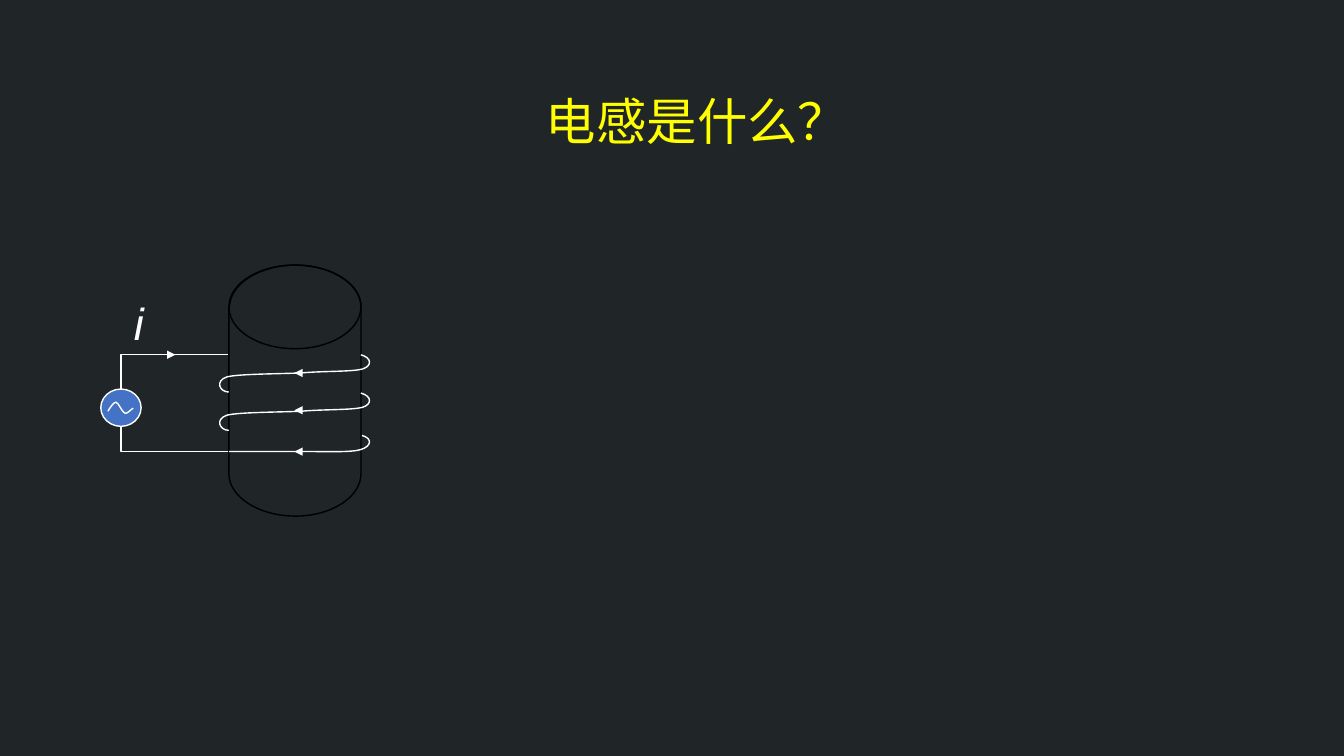
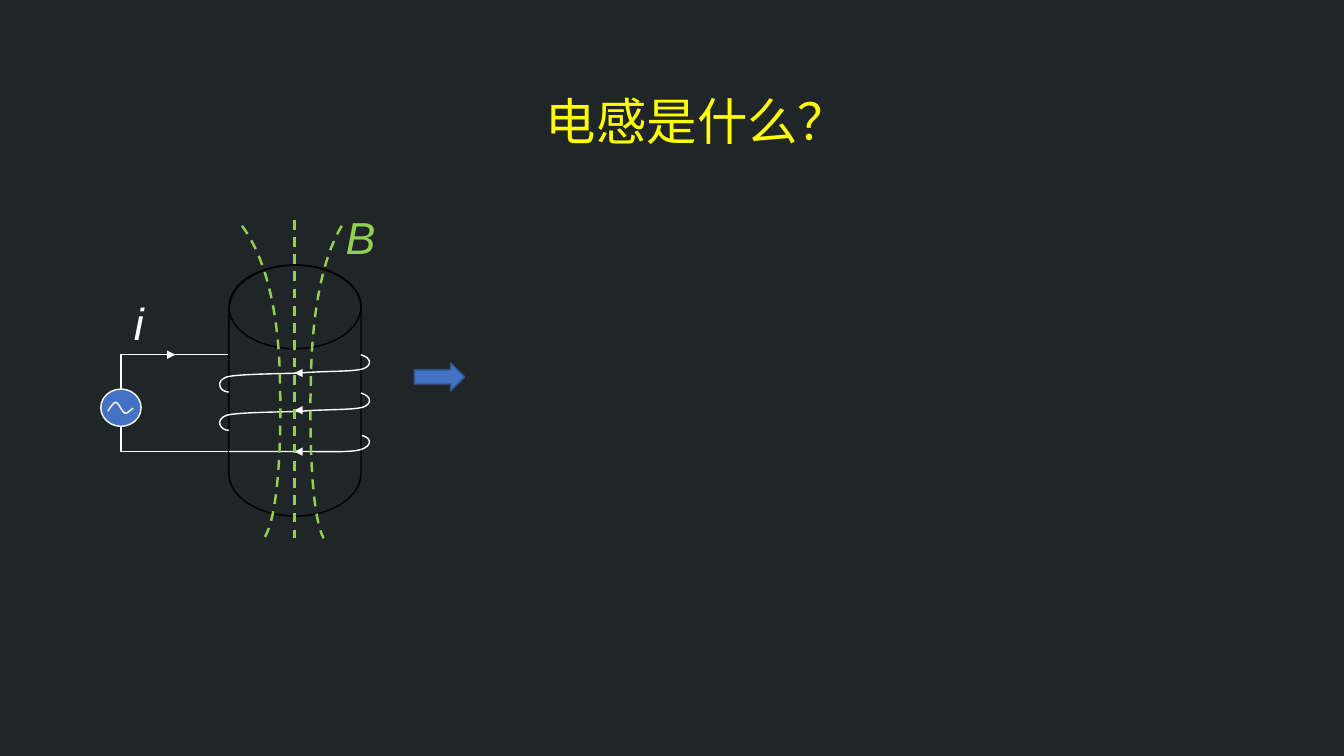
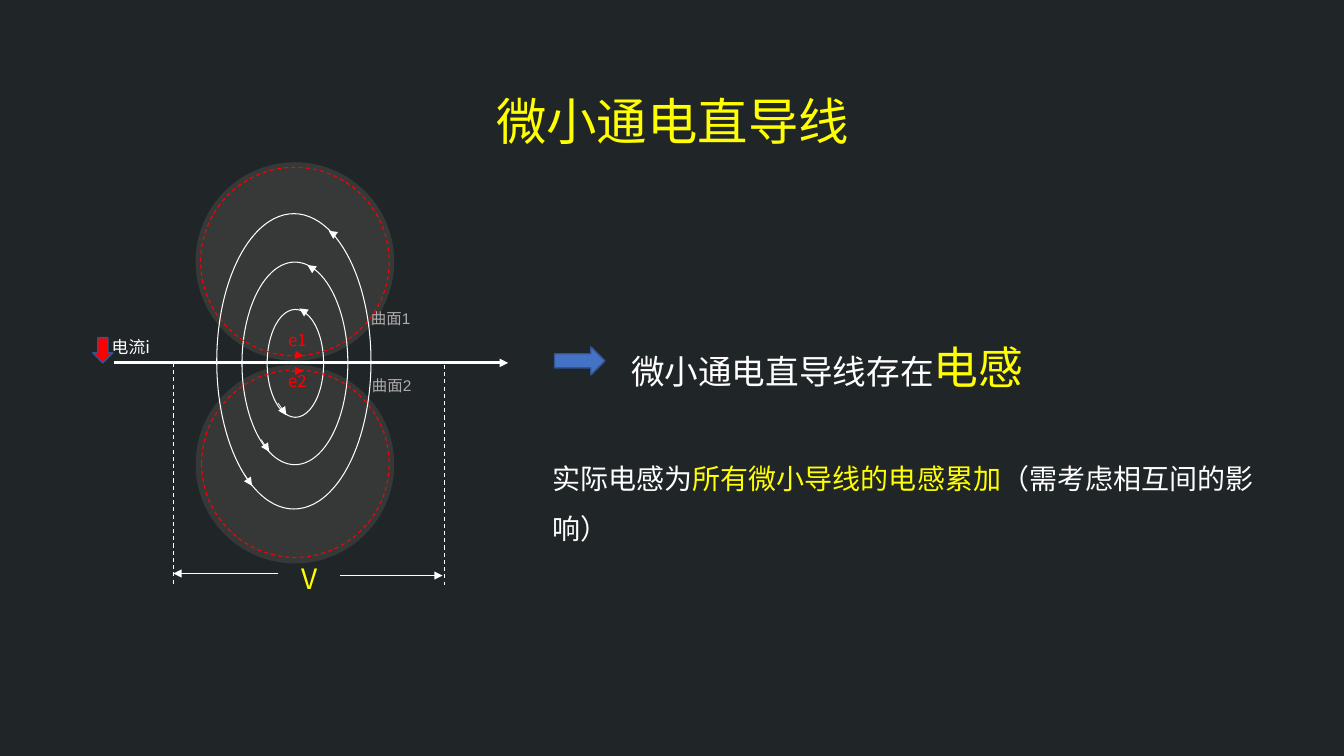
from dataclasses import dataclass
from typing import Any

from lxml.etree import SubElement
from pptx import Presentation
from pptx.dml.color import RGBColor
from pptx.enum.dml import MSO_LINE
from pptx.enum.shapes import MSO_CONNECTOR, MSO_SHAPE
from pptx.enum.text import MSO_AUTO_SIZE, PP_ALIGN
from pptx.oxml.ns import qn
from pptx.util import Pt

PX = 9144
PAGE_WIDTH, PAGE_HEIGHT = 1333, 750
BACKGROUND = "202527"
WHITE, BLACK, YELLOW = "FFFFFF", "000000", "FFFF00"
RED, GREEN, GREY = "FF0000", "92D050", "AFABAB"
BLUE, DARK_BLUE = "4472C4", "325491"
LATIN, CHINESE = "Arial", "Noto Sans CJK SC"
CURVE_STEPS = 16


def colour(value):
    """Turn a hex string into a colour."""
    return RGBColor.from_string(value)


def style_line(line, value, width, dashed=False):
    """Set colour, width and dash of an outline."""
    line.color.rgb = colour(value)
    line.width = Pt(width)
    if dashed:
        line.dash_style = MSO_LINE.DASH


def curve_points(start, segments):
    """Yield points along straight (x, y) and cubic six-number segments."""
    x, y = start
    for segment in segments:
        if len(segment) == 2:
            yield segment
        else:
            x1, y1, x2, y2, x3, y3 = segment
            for step in range(1, CURVE_STEPS + 1):
                t = step / CURVE_STEPS
                u = 1 - t
                a, b, c, d = u**3, 3 * u * u * t, 3 * u * t * t, t**3
                yield (a * x + b * x1 + c * x2 + d * x3,
                       a * y + b * y1 + c * y2 + d * y3)
        x, y = segment[-2:]


@dataclass
class Region:
    """An area whose parts are placed from its left top corner."""

    shapes: Any
    left: int = 0
    top: int = 0

    def place(self, x, y):
        """Turn a point of the region into EMU on the page."""
        return round((self.left + x) * PX), round((self.top + y) * PX)

    def shape(self, kind, box, line=None, width=1, fill=None, alpha=None, dashed=False):
        """Add a preset shape."""
        x, y, wide, high = box
        shape = self.shapes.add_shape(kind, *self.place(x, y), wide * PX, high * PX)
        shape.shadow.inherit = False
        if fill:
            shape.fill.solid()
            shape.fill.fore_color.rgb = colour(fill)
            if alpha:
                tone = shape.fill._xPr.find(".//" + qn("a:srgbClr"))
                SubElement(tone, qn("a:alpha"), val=str(alpha * 1000))
        else:
            shape.fill.background()
        if line:
            style_line(shape.line, line, width, dashed)
        else:
            shape.line.fill.background()

    def oval(self, box, **style):
        """Add an ellipse."""
        self.shape(MSO_SHAPE.OVAL, box, **style)

    def block_arrow(self, box, kind=MSO_SHAPE.RIGHT_ARROW, fill=BLUE):
        """Add a thick arrow with a dark blue rim."""
        self.shape(kind, box, line=DARK_BLUE, fill=fill)

    def line(self, start, end, value=WHITE, width=0.5, dashed=False, arrow=False):
        """Add a straight line, with an arrowhead if asked."""
        line = self.shapes.add_connector(
            MSO_CONNECTOR.STRAIGHT, *self.place(*start), *self.place(*end))
        style_line(line.line, value, width, dashed)
        if arrow:
            SubElement(line.line._ln, qn("a:tailEnd"), type="triangle")
        SubElement(line._element.spPr, qn("a:effectLst"))

    def arrow(self, start, end, **style):
        """Add a straight line with an arrowhead."""
        self.line(start, end, arrow=True, **style)

    def curve(self, start, segments, value=WHITE, width=1, dashed=False, close=False):
        """Add an unfilled outline of true curves, sized by points along it."""
        builder = self.shapes.build_freeform(*self.place(*start))
        points = [self.place(*point) for point in curve_points(start, segments)]
        builder.add_line_segments(points, close=close)
        outline = builder.convert_to_shape()
        track = outline._element.find(".//" + qn("a:path"))
        for step in track.findall(qn("a:lnTo")):
            track.remove(step)
        end = track.find(qn("a:close"))
        for segment in segments:
            kind = "a:lnTo" if len(segment) == 2 else "a:cubicBezTo"
            step = SubElement(track, qn(kind))
            for point in zip(segment[::2], segment[1::2]):
                x, y = self.place(*point)
                SubElement(step, qn("a:pt"), x=str(x - outline.left),
                           y=str(y - outline.top))
        if close:
            track.append(end)
        outline.shadow.inherit = False
        outline.fill.background()
        style_line(outline.line, value, width, dashed)

    def label(self, box, *spans, name=CHINESE, italic=False, align=None,
              spacing=None, wrap=True):
        """Add one paragraph made of (text, size, colour) spans."""
        x, y, wide, high = box
        frame = self.shapes.add_textbox(
            *self.place(x, y), wide * PX, high * PX).text_frame
        frame.word_wrap = wrap
        frame.auto_size = MSO_AUTO_SIZE.SHAPE_TO_FIT_TEXT
        para = frame.paragraphs[0]
        para.alignment = align
        para.line_spacing = spacing
        para.font.name = name
        SubElement(para._p.pPr.find(qn("a:defRPr")), qn("a:ea"), typeface=CHINESE)
        if italic:
            para.font.italic = True
        same_size = len({size for _, size, _ in spans}) == 1
        same_colour = len({value for _, _, value in spans}) == 1
        for text, size, value in spans:
            span = para.add_run()
            span.text = text
            (para if same_size else span).font.size = Pt(size)
            (para if same_colour else span).font.color.rgb = colour(value)


def add_page(deck, title, title_width):
    """Add a dark page with a centred yellow title."""
    page = deck.slides.add_slide(deck.slide_layouts[6])
    page.background.fill.solid()
    page.background.fill.fore_color.rgb = colour(BACKGROUND)
    left = (PAGE_WIDTH + 1 - title_width) // 2
    Region(page.shapes).label((left, 54, title_width, 91), (title, 36, YELLOW),
                              align=PP_ALIGN.CENTER, spacing=1.5)
    return page


def draw_coil(region):
    """Draw a core with its windings and a current source."""
    region.shape(MSO_SHAPE.RECTANGLE, (20, 152, 107, 96), line=WHITE)
    region.oval((127, 63, 131, 83), line=BLACK)
    region.oval((0, 186, 40, 37), line=WHITE, fill=BLUE)
    region.curve((7, 208), [(10, 203, 13, 199, 15, 199), (18, 200, 21, 209, 24, 210),
                            (26, 211, 30, 206, 32, 205)])
    region.curve((193, 63), [(227, 63, 255, 80, 258, 101), (258, 105), (258, 270),
                             (258, 293, 229, 312, 193, 312),
                             (157, 312, 127, 293, 127, 270), (127, 105), (128, 101),
                             (131, 80, 159, 63, 193, 63)], value=BLACK, close=True)
    for drop in (0, 38):
        winding = Region(region.shapes, region.left, region.top + drop)
        winding.curve((127, 189), [(118, 189, 113, 178, 125, 174),
                                   (136, 171, 176, 171, 199, 170),
                                   (221, 168, 250, 169, 260, 166),
                                   (269, 163, 269, 155, 258, 152)])
    region.curve((127, 248), [(203, 248), (224, 248, 249, 249, 258, 246),
                              (268, 243, 270, 235, 259, 232)])
    region.arrow((68, 152), (74, 152))
    for y in (170, 248, 207):
        region.arrow((198, y), (192, y))
    region.label((23, 88, 36, 73), ("i", 32, WHITE), name=LATIN, italic=True, wrap=False)


def draw_field(region):
    """Draw the dashed field lines through the coil."""
    style = {"value": GREEN, "width": 1.75, "dashed": True}
    region.line((192, 18), (192, 334), **style)
    region.curve((140, 24), [(182, 81, 177, 185, 178, 193),
                             (178, 201, 180, 306, 162, 334)], **style)
    region.curve((239, 24), [(205, 81, 209, 185, 208, 193),
                             (208, 201, 206, 306, 221, 334)], **style)
    region.label((233, 3, 33, 47), ("B", 32, GREEN), name=LATIN, italic=True, wrap=False)


def draw_wire(region):
    """Draw a straight wire with its field loops and two surfaces."""
    region.arrow((23, 200), (414, 200), width=2)
    for loop in ((175, 147, 56, 107), (150, 100, 105, 201)):
        region.oval(loop, line=WHITE, width=0.75)
    for y, fill in ((1, "FFF2CC"), (202, "FBE5D6")):
        region.oval((104, y, 197, 197), fill=fill, alpha=10)
    for x, y, text in ((268, 142, "曲面1"), (269, 208, "曲面2")):
        region.label((x, y, 59, 29), (text, 11, GREY), name=LATIN)
    for rim in ((109, 6, 187, 187), (110, 207, 186, 186)):
        region.oval(rim, line=RED, width=0.75, dashed=True)
    region.arrow((202, 192), (211, 193), value=RED)
    region.arrow((199, 208), (211, 208), value=RED)
    region.oval((125, 52, 153, 293), line=WHITE, width=0.75)
    for x, y in ((239, 71), (218, 105), (210, 148)):
        region.arrow((x, y), (x - 3, y - 2))
    for x, y in ((152, 310), (169, 276), (186, 240)):
        region.arrow((x, y), (x + 8, y + 12))
    for y, text in ((162, "e1"), (203, "e2")):
        region.label((186, y, 74, 47), (text, 12, RED))
    for x, y in ((82, 200), (351, 202)):
        region.line((x, y), (x, 420), width=0.75, dashed=True)
    region.arrow((186, 409), (82, 409))
    region.label((199, 392, 74, 44), ("V", 20, YELLOW))
    region.arrow((247, 411), (349, 411))
    region.label((11, 169, 98, 47), ("电流i", 12, WHITE))
    region.block_arrow((2, 175, 20, 25), MSO_SHAPE.DOWN_ARROW, RED)


def draw_conclusion(region):
    """Write what follows from the wire."""
    region.block_arrow((20, 44, 50, 28))
    region.label((75, 5, 431, 82), ("微小通电直导线存在", 24, WHITE),
                 ("电感", 32, YELLOW), align=PP_ALIGN.CENTER, spacing=1.5)
    region.label((8, 136, 753, 55), ("实际电感为", 20, WHITE),
                 ("所有微小导线的电感累加", 20, YELLOW),
                 ("（需考虑相互间的影响）", 20, WHITE), spacing=1.5)


def main():
    """Build and save the deck."""
    deck = Presentation()
    deck.slide_width = PAGE_WIDTH * PX
    deck.slide_height = PAGE_HEIGHT * PX

    page = add_page(deck, "电感是什么？", 313)
    draw_coil(Region(page.shapes, 100, 200))

    page = add_page(deck, "电感是什么？", 313)
    coil = Region(page.shapes.add_group_shape().shapes, 100, 200)
    draw_coil(coil)
    draw_field(coil)
    Region(page.shapes).block_arrow((411, 360, 50, 28))

    page = add_page(deck, "微小通电直导线", 480)
    draw_wire(Region(page.shapes, 90, 160))
    draw_conclusion(Region(page.shapes, 530, 300))

    deck.save("out.pptx")


if __name__ == "__main__":
    main()
